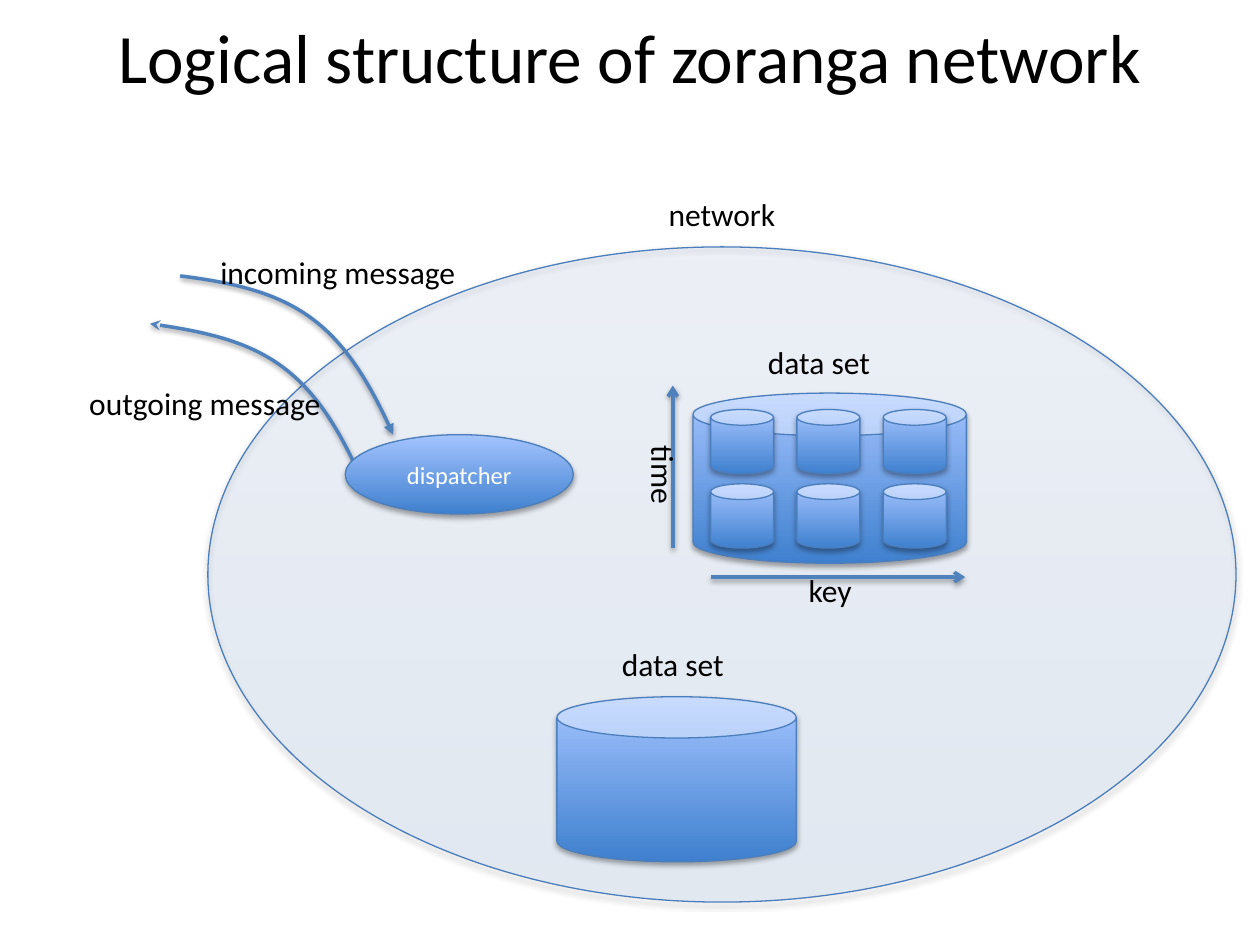
from lxml import etree
from pptx import Presentation
from pptx.dml.color import RGBColor
from pptx.enum.shapes import MSO_CONNECTOR, MSO_SHAPE
from pptx.enum.text import MSO_ANCHOR, MSO_AUTO_SIZE, PP_ALIGN
from pptx.oxml.ns import qn
from pptx.util import Inches, Pt

DARK_BLUE = RGBColor(0x3F, 0x80, 0xCE)
LIGHT_BLUE = RGBColor(0xA4, 0xC4, 0xFF)
OUTLINE = RGBColor(0x4B, 0x7E, 0xBC)
ARROW = RGBColor(0x4F, 0x81, 0xBD)
BLACK = RGBColor(0, 0, 0)
WHITE = RGBColor(255, 255, 255)
LEFT, CENTER = PP_ALIGN.LEFT, PP_ALIGN.CENTER

# Content: boxes are left, top, width, height in inches
TITLE = ("Logical structure of zoranga network", (0.5, -0.06, 9, 1.01))
NETWORK = (1.65, 1.96, 8.16, 5.2)
DISPATCHER = ("dispatcher", (2.74, 3.45, 1.81, 0.63))
DATA_SETS = [(5.5, 3.12, 2.17, 1.35), (4.42, 5.53, 1.9, 1.31)]
PARTITION_X, PARTITION_Y = 5.64, 3.25
PARTITION_STEP_X, PARTITION_STEP_Y = 0.685, 0.59
PARTITION_SIZE = (0.5, 0.51)
MESSAGES = [  # curve points, arrow end, arrowhead
    ([(1.43, 2.19), (2.31, 2.3), (2.71, 2.53), (3.12, 3.45)], "tailEnd", "triangle"),
    ([(1.19, 2.57), (2.07, 2.69), (2.48, 2.91), (2.88, 3.83)], "headEnd", "stealth"),
]
MESSAGE_LABELS = [
    ("network", (4.96, 1.5, 1.54, 0.54), dict(align=CENTER)),
    ("incoming message", (1.65, 1.96, 2.36, 0.46), {}),
    ("outgoing message", (0.61, 3, 2.33, 0.46), {}),
]
AXES = [((5.34, 4.35), (5.34, 3.06)), ((5.64, 4.58), (7.66, 4.58))]
DATA_LABELS = [
    ("data set", (5.9, 2.72, 1.2, 0.41), dict(align=CENTER, inset=0)),
    ("time", (4.9, 3.44, 0.57, 0.64), dict(vert="eaVert")),
    ("key", (6.32, 4.48, 0.63, 0.46), {}),
    ("data set", (4.74, 5.12, 1.2, 0.41), dict(align=CENTER, inset=0)),
]

prs = Presentation()
prs.slide_width, prs.slide_height = Inches(10), Inches(7.5)
shapes = prs.slides.add_slide(prs.slide_layouts[6]).shapes


def box_of(box):
    return [Inches(v) for v in box]


def write(sp, text, size=18, color=BLACK, align=LEFT, inset=None):
    tf = sp.text_frame
    if inset is not None:
        tf.margin_left = tf.margin_right = Inches(inset)
        tf.margin_top = tf.margin_bottom = Inches(inset)
    p = tf.paragraphs[0]
    p.alignment = align
    r = p.add_run()
    r.text = text
    r.font.name, r.font.size, r.font.color.rgb = "Calibri", Pt(size), color
    return tf


def add_label(text, box, vert=None, **fmt):
    sp = shapes.add_textbox(*box_of(box))
    tf = write(sp, text, **fmt)
    tf.word_wrap = False
    tf.auto_size = MSO_AUTO_SIZE.SHAPE_TO_FIT_TEXT
    if vert:
        tf._txBody.bodyPr.set("vert", vert)


def add_shadow(sp, alpha, distance):
    spPr = sp._element.spPr
    for old in spPr.findall(qn("a:effectLst")):
        spPr.remove(old)
    effects = etree.SubElement(spPr, qn("a:effectLst"))
    shadow = etree.SubElement(effects, qn("a:outerShdw"), blurRad=str(Pt(3.1)),
                              dist=str(Pt(distance)), dir="5400000", rotWithShape="0")
    color = etree.SubElement(shadow, qn("a:srgbClr"), val="000000")
    etree.SubElement(color, qn("a:alpha"), val=str(alpha * 1000))


def add_solid(kind, box, opacity=100):
    sp = shapes.add_shape(kind, *box_of(box))
    sp.fill.gradient()
    sp.fill.gradient_angle = 90
    for stop, color, pos in zip(sp.fill.gradient_stops, (DARK_BLUE, LIGHT_BLUE), (0, 1)):
        stop.color.rgb, stop.position = color, pos
    if opacity < 100:
        for color in sp._element.spPr.iter(qn("a:srgbClr")):
            etree.SubElement(color, qn("a:alpha"), val=str(opacity * 1000))
    sp.line.color.rgb, sp.line.width = OUTLINE, Pt(0.75)
    add_shadow(sp, 35, 1.8)
    return sp


def style_arrow(sp, end, head):
    sp.line.color.rgb, sp.line.width = ARROW, Pt(2)
    etree.SubElement(sp.line._get_or_add_ln(), qn("a:" + end), type=head)
    add_shadow(sp, 38, 1.6)


def add_curve(points, end, head):
    start, *rest = [tuple(box_of(pt)) for pt in points]
    builder = shapes.build_freeform(*start, scale=1.0)
    builder.add_line_segments(rest, close=False)
    sp = builder.convert_to_shape()
    sp.fill.background()
    # Join the three segments into one Bezier curve
    segments = list(sp._element.iter(qn("a:lnTo")))
    curve = etree.SubElement(segments[0].getparent(), qn("a:cubicBezTo"))
    for seg in segments:
        curve.append(seg[0])
        seg.getparent().remove(seg)
    style_arrow(sp, end, head)


# Title
title_text, title_box = TITLE
tf = write(shapes.add_textbox(*box_of(title_box)), title_text, size=39.6, align=CENTER)
tf.word_wrap, tf.vertical_anchor = True, MSO_ANCHOR.MIDDLE

# Network and messages
add_solid(MSO_SHAPE.OVAL, NETWORK, opacity=11)
for message in MESSAGES:
    add_curve(*message)
for text, box, fmt in MESSAGE_LABELS:
    add_label(text, box, **fmt)

# Dispatcher
name, box = DISPATCHER
tf = write(add_solid(MSO_SHAPE.OVAL, box), name, size=14, color=WHITE, align=CENTER, inset=0)
tf.vertical_anchor = MSO_ANCHOR.MIDDLE

# Data sets and the partitions of the first one
partitions = [(PARTITION_X + col * PARTITION_STEP_X, PARTITION_Y + row * PARTITION_STEP_Y,
               *PARTITION_SIZE) for row in range(2) for col in range(3)]
for box in DATA_SETS + partitions:
    add_solid(MSO_SHAPE.CAN, box)

# Axes and labels
for start, end in AXES:
    line = shapes.add_connector(MSO_CONNECTOR.STRAIGHT, *box_of(start + end))
    style_arrow(line, "tailEnd", "arrow")
for text, box, fmt in DATA_LABELS:
    add_label(text, box, **fmt)

prs.save("out.pptx")
